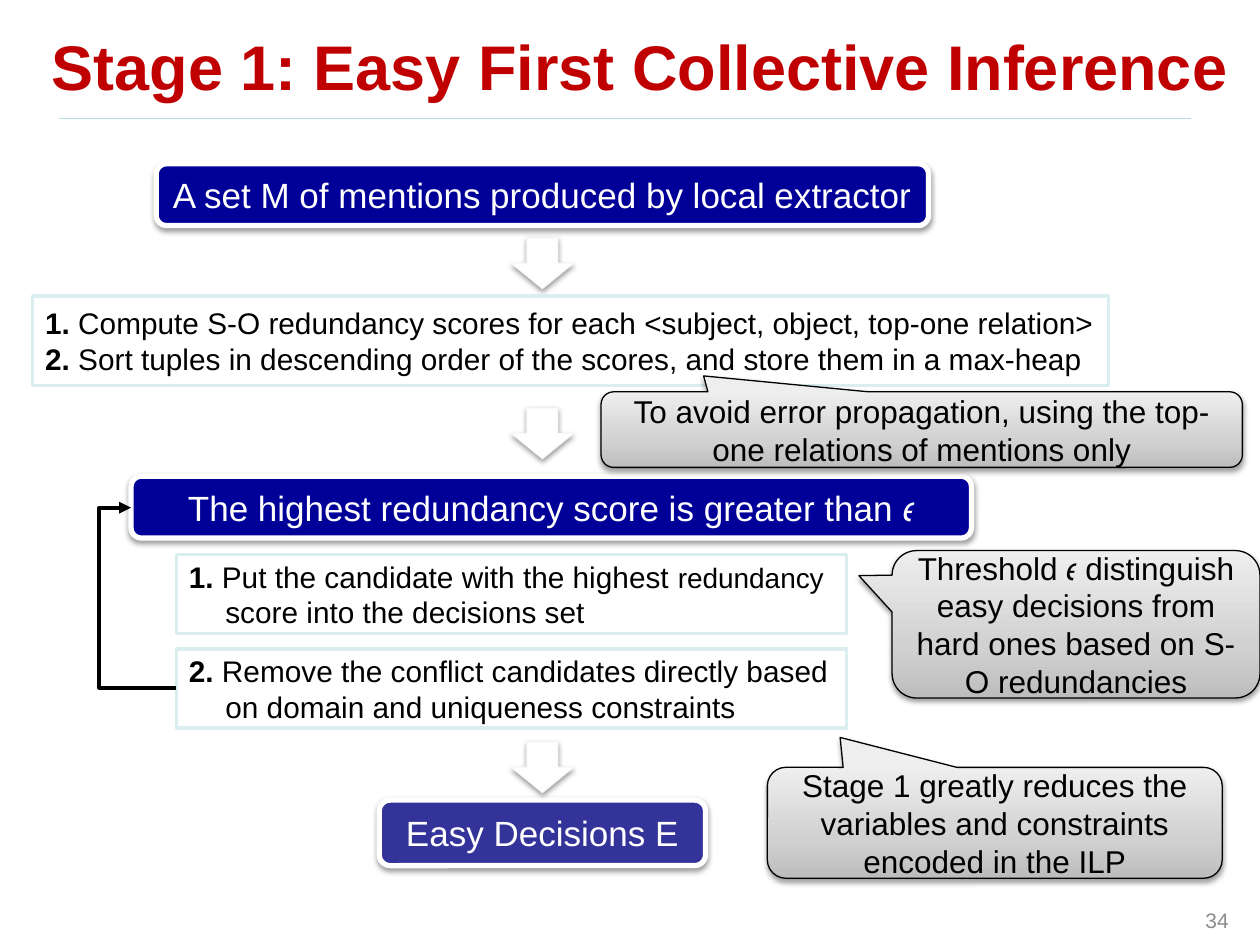
from lxml.etree import SubElement
from pptx import Presentation
from pptx.dml.color import RGBColor
from pptx.enum.shapes import MSO_CONNECTOR as Connector, MSO_SHAPE as Shape
from pptx.enum.text import MSO_ANCHOR as Anchor, PP_ALIGN as Align
from pptx.oxml.ns import qn
from pptx.util import Inches, Pt

COLORS = {
    "title": "C00000", "rule": "B6DCDF", "number": "8C8C8C", "navy": "000099",
    "indigo": "333399", "white": "FFFFFF", "arrow_edge": "F9F9F9",
    "step_edge": "DAEDEF", "black": "000000",
}
CALLOUT_STOPS = ((0, "BDBDBD"), (35, "D1D1D1"), (100, "EEEEEE"))
BOLD = {"bold": True}


def rgb(name):
    """Return the named colour."""
    return RGBColor.from_string(COLORS[name])


def add_xml(parent, tag, **attributes):
    """Append a DrawingML element and return it."""
    return SubElement(parent, qn(f"a:{tag}"),
                      {key: str(value) for key, value in attributes.items()})


def write(text_frame, paragraphs, size, color, align=Align.LEFT, indents=()):
    """Fill a text frame with paragraphs of (text, format) runs."""
    text_frame.word_wrap = True
    text_frame.vertical_anchor = Anchor.MIDDLE
    for index, runs in enumerate(paragraphs):
        paragraph = text_frame.add_paragraph() if index else text_frame.paragraphs[0]
        paragraph.alignment = align
        if indents:
            margin, first = indents[index]
            properties = paragraph._p.get_or_add_pPr()
            properties.set("marL", str(Inches(margin)))
            properties.set("indent", str(Inches(first)))
        for text, changes in runs:
            if text == "\v":
                paragraph.add_line_break()
                continue
            run = paragraph.add_run()
            run.text = text
            values = {"name": "Arial", "size": Pt(size), "bold": False, **changes}
            for key, value in values.items():
                setattr(run.font, key, value)
            run.font.color.rgb = rgb(color)


def add_box(slide, kind, box, fill, edge, width, shadow=True):
    """Add a preset shape with fill, outline and optional soft shadow."""
    shape = slide.shapes.add_shape(kind, *map(Inches, box))
    if fill:
        shape.fill.solid()
        shape.fill.fore_color.rgb = rgb(fill)
    shape.line.color.rgb = rgb(edge)
    shape.line.width = Pt(width)
    shape.shadow.inherit = False
    if shadow:
        effects = shape._element.spPr.find(qn("a:effectLst"))
        outer = add_xml(effects, "outerShdw", blurRad=Pt(3.1), dist=Pt(1.6),
                        dir=90 * 60000, rotWithShape=0)
        add_xml(add_xml(outer, "srgbClr", val=COLORS["black"]), "alpha", val=38000)
    return shape


def add_stage(slide, box, text, fill="navy"):
    """Add a rounded stage bar."""
    shape = add_box(slide, Shape.ROUNDED_RECTANGLE, box, fill, "white", 3)
    write(shape.text_frame, [[(text, {})]], 20, "white", Align.CENTER)


def add_steps(slide, box, paragraphs, indents):
    """Add a white box of numbered steps."""
    shape = add_box(slide, Shape.RECTANGLE, box, "white", "step_edge", 2, shadow=False)
    write(shape.text_frame, paragraphs, 17, "black", indents=indents)


def add_callout(slide, box, tip, runs):
    """Add a grey gradient callout whose pointer ends at tip."""
    shape = add_box(slide, Shape.ROUNDED_RECTANGULAR_CALLOUT, box, None, "black", 0.75)
    shape.adjustments[0], shape.adjustments[1] = tip
    shape.fill.gradient()
    shape.fill.gradient_angle = 90
    stops = shape._element.spPr.find(qn("a:gradFill")).find(qn("a:gsLst"))
    for stop in list(stops):
        stops.remove(stop)
    for position, color in CALLOUT_STOPS:
        add_xml(add_xml(stops, "gs", pos=position * 1000), "srgbClr", val=color)
    write(shape.text_frame, [runs], 18, "black", Align.CENTER)


def add_line(slide, kind, start, end, color, width):
    """Add a connector without a shadow."""
    line = slide.shapes.add_connector(kind, *map(Inches, (*start, *end)))
    line.line.color.rgb = rgb(color)
    line.line.width = Pt(width)
    add_xml(line._element.spPr, "effectLst")
    return line


def add_loop(slide, start, end, bend):
    """Add the elbow arrow that leads back to the condition."""
    loop = add_line(slide, Connector.ELBOW, start, end, "black", 2.25)
    properties = loop._element.spPr
    guides = properties.find(qn("a:prstGeom")).find(qn("a:avLst"))
    add_xml(guides, "gd", name="adj1", fmla=f"val {round(bend * 100000)}")
    add_xml(properties.find(qn("a:ln")), "tailEnd", type="triangle")


def add_frame(slide, title_box, number_box):
    """Place the title, its rule and the slide number."""
    title = slide.shapes.title
    for key, value in zip(("left", "top", "width", "height"), title_box):
        setattr(title, key, Inches(value))
    write(title.text_frame, [[("Stage 1: Easy First Collective Inference", BOLD)]],
          36, "title")
    add_line(slide, Connector.STRAIGHT, (0.47, 0.94), (9.45, 0.94), "rule", 0.75)
    number = slide.shapes.add_textbox(*map(Inches, number_box))
    write(number.text_frame, [[("34", {})]], 12, "number", Align.RIGHT)


def add_flow(slide):
    """Place the stages, steps and arrows from top to bottom."""
    add_stage(slide, (1.24, 1.3, 6.13, 0.49),
              "A set M of mentions produced by local extractor")
    add_stage(slide, (1.04, 3.78, 6.67, 0.49),
              "The highest redundancy score is greater than 𝜖")
    add_stage(slide, (3.01, 6.35, 2.59, 0.52), "Easy Decisions E", "indigo")
    for top in (1.89, 3.24, 5.89):
        add_box(slide, Shape.DOWN_ARROW, (4.06, top, 0.49, 0.4),
                "white", "arrow_edge", 0.75)
    add_steps(slide, (0.26, 2.35, 8.54, 0.71), [
        [("1. ", BOLD), ("Compute S-O redundancy scores for each "
                         "<subject, object, top-one relation>", {})],
        [("2. ", BOLD), ("Sort tuples in descending order of the scores, "
                         "and store them in a max-heap", {})],
    ], [(0, 0), (0, 0)])
    add_steps(slide, (1.4, 4.4, 5.32, 0.63), [
        [("1.", BOLD), (" Put the candidate with the highest ", {}),
         ("redundancy ", {"size": Pt(16)}), ("score into the decisions set", {})],
    ], [(0.29, -0.29)])
    add_steps(slide, (1.4, 5.15, 5.32, 0.63), [
        [("2. ", BOLD), ("Remove the conflict candidates directly based", {})],
        [("on domain and uniqueness constraints", {})],
    ], [(0, 0), (0.29, 0)])
    add_loop(slide, (1.4, 5.46), (1.04, 4.03), 1.7)


def add_comments(slide):
    """Place the three callouts over the flow."""
    add_callout(slide, (7.08, 4.37, 2.92, 1.17), (-0.59, -0.33), [
        ("Threshold 𝜖 distinguish", {}), ("\v", {}),
        ("easy decisions from hard ones based on S-O redundancies", {})])
    add_callout(slide, (6.09, 6.09, 3.61, 0.88), (-0.34, -0.77), [
        ("Stage 1 greatly reduces the variables and constraints "
         "encoded in the ILP", {})])
    add_callout(slide, (4.77, 3.11, 5.09, 0.6), (-0.34, -0.71), [
        ("To avoid error propagation, using the top-one relations "
         "of mentions only", {})])


def main():
    """Build and save the slide."""
    presentation = Presentation()
    presentation.slide_width, presentation.slide_height = Inches(10), Inches(7.5)
    slide = presentation.slides.add_slide(presentation.slide_layouts[5])
    add_frame(slide, (0.31, 0.08, 9.61, 0.87), (7.6, 7.1, 2.25, 0.4))
    add_flow(slide)
    add_comments(slide)
    presentation.save("out.pptx")


if __name__ == "__main__":
    main()
